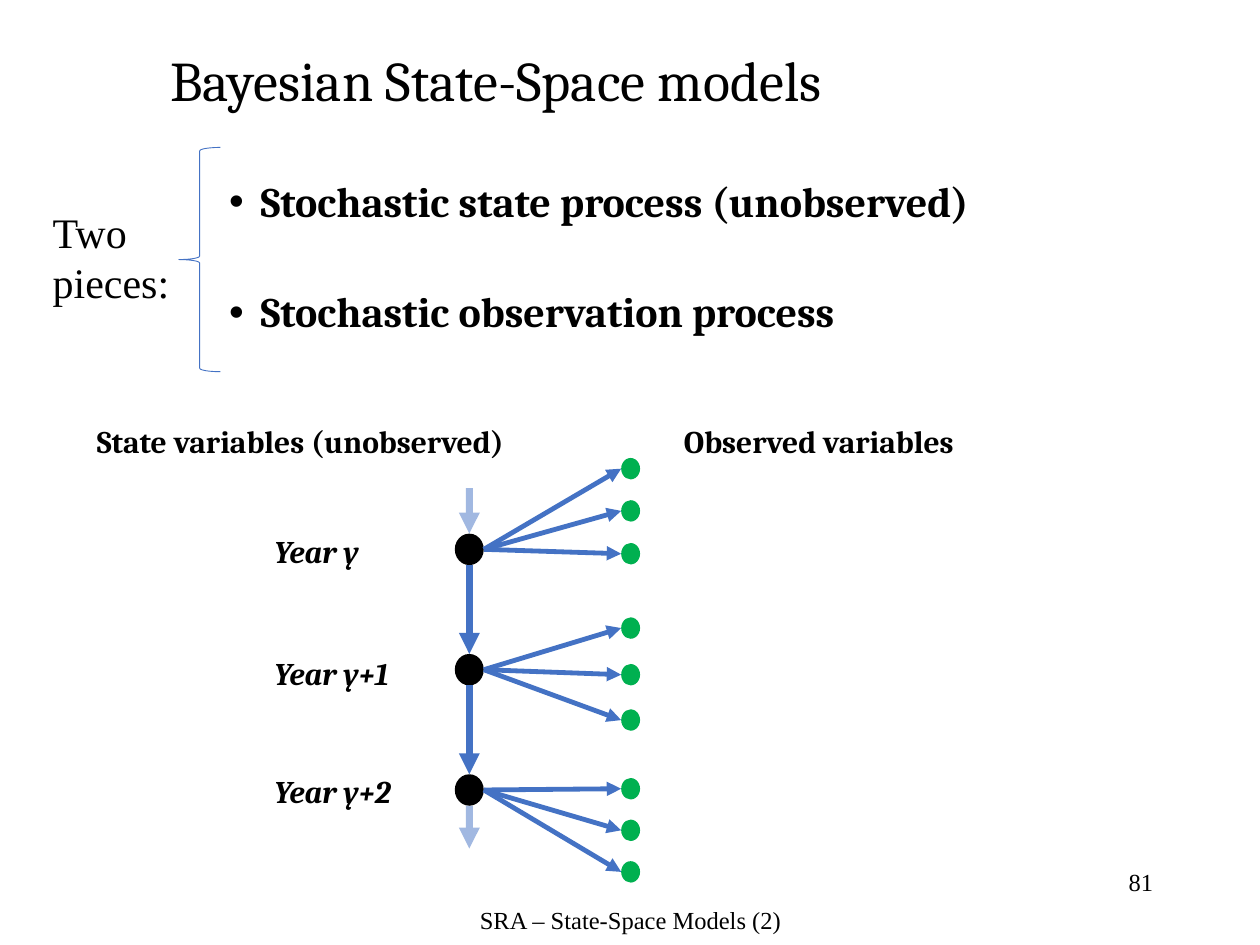
"""Build the slide on Bayesian state-space models."""
from dataclasses import dataclass
from typing import Optional

from lxml import etree
from pptx import Presentation
from pptx import util as u
from pptx.dml import color
from pptx.enum import shapes, text
from pptx.oxml import ns

COLS, ROWS = 100, 75
WIDE, HIGH = u.Inches(10), u.Inches(7.5)
HUES = {"ink": "000000", "line": "4472C4", "seen": "00B050"}
SERIF, ROMAN = "Cambria", "Times New Roman"
LEFT, MID, RIGHT = text.PP_ALIGN.LEFT, text.PP_ALIGN.CENTER, text.PP_ALIGN.RIGHT


@dataclass
class Box:
    """A place on the grid, in columns and rows."""
    col: float
    row: float
    wide: float
    high: float

    def place(self) -> tuple:
        """Return left, top, width and height as lengths."""
        return (*point(self.col, self.row), *point(self.wide, self.high))


@dataclass
class Label:
    """A text with its place and look."""
    words: str
    box: Box
    size: float = 18
    font: str = SERIF
    bold: bool = True
    slant: bool = False
    wrap: bool = False
    align: text.PP_ALIGN = LEFT


@dataclass
class Year:
    """A hidden state and the rows of what is observed from it."""
    name: str
    row: float
    label: float
    seen: tuple


YEARS = [
    Year("Year y", 43.6, 41.7, (37.2, 40.55, 43.95)),
    Year("Year y+1", 53.15, 51.4, (49.85, 53.55, 57.15)),
    Year("Year y+2", 62.7, 60.8, (62.6, 65.9, 69.2)),
]
STATE, SEEN = 37.25, 50.05
NODE, DOT = (2.3, 2.5), (1.5, 1.7)

LABELS = [
    Label("State variables (unobserved)", Box(6.7, 33, 35.4, 4)),
    Label("Observed variables", Box(53.3, 33, 24.2, 4)),
    *[Label(y.name, Box(20.8, y.label, 11.8 if "+" in y.name else 8.9, 4), slant=True)
      for y in YEARS],
    Label("Two pieces:", Box(3.2, 15.9, 12.5, 9.1), 24, ROMAN, False, wrap=True),
    Label("81", Box(71.7, 68.3, 20.8, 5), 14, ROMAN, False, wrap=True, align=RIGHT),
    Label("SRA – State-Space Models (2)", Box(34.2, 71.3, 31.7, 3.7), 14, ROMAN, False,
          wrap=True, align=MID),
]
PIECES = ["Stochastic state process (unobserved)", "Stochastic observation process"]


def point(col: float, row: float) -> tuple:
    """Turn columns and rows into lengths."""
    return round(WIDE * col / COLS), round(HIGH * row / ROWS)


def hue(name: str) -> color.RGBColor:
    """Look up a colour."""
    return color.RGBColor.from_string(HUES[name])


def add_run(para, words: str, size: float, font: str, bold: bool, slant: bool = False) -> None:
    """Add one run of dark text."""
    run = para.add_run()
    run.text = words
    face = run.font
    face.size, face.name, face.bold, face.italic = u.Pt(size), font, bold, slant
    face.color.rgb = hue("ink")


def add_label(slide, label: Label) -> None:
    """Draw one text box."""
    frame = slide.shapes.add_textbox(*label.box.place()).text_frame
    frame.word_wrap = label.wrap
    para = frame.paragraphs[0]
    para.alignment = label.align
    add_run(para, label.words, label.size, label.font, label.bold, label.slant)


def add_title(slide, words: str) -> None:
    """Move and fill the title placeholder."""
    title = slide.shapes.title
    title.left, title.top, title.width, title.height = Box(12.5, 2.7, 82.7, 7.9).place()
    frame = title.text_frame
    frame.vertical_anchor = text.MSO_ANCHOR.MIDDLE
    para = frame.paragraphs[0]
    para.alignment, para.line_spacing = LEFT, 0.9
    add_run(para, words, 32, SERIF, False)


def add_list(slide, items: list, box: Box) -> None:
    """Draw the bulleted list."""
    frame = slide.shapes.add_textbox(*box.place()).text_frame
    frame.word_wrap = True
    for i, item in enumerate(items):
        para = frame.add_paragraph() if i else frame.paragraphs[0]
        para.line_spacing = 0.9
        if i:
            para.space_before = u.Pt(37)
        props = para._p.get_or_add_pPr()
        props.set("marL", str(u.Inches(0.25)))
        props.set("indent", str(-u.Inches(0.25)))
        etree.SubElement(props, ns.qn("a:buFont"), typeface="Arial")
        etree.SubElement(props, ns.qn("a:buChar"), char="•")
        add_run(para, item, 24, SERIF, True)


def add_oval(slide, col: float, row: float, size: tuple, fill: str) -> None:
    """Draw a filled oval about its centre."""
    wide, high = size
    box = Box(col - wide / 2, row - high / 2, wide, high)
    oval = slide.shapes.add_shape(shapes.MSO_SHAPE.OVAL, *box.place())
    oval.shadow.inherit = False
    oval.fill.solid()
    oval.fill.fore_color.rgb = hue(fill)
    oval.line.fill.background()


def add_arrow(slide, start: tuple, end: tuple, width: float,
              alpha: Optional[int] = None) -> None:
    """Draw an arrow, see-through if alpha is given in percent."""
    arrow = slide.shapes.add_connector(
        shapes.MSO_CONNECTOR.STRAIGHT, *point(*start), *point(*end))
    arrow.line.width = u.Pt(width)
    arrow.line.color.rgb = hue("line")
    props = arrow._element.spPr
    if alpha:
        tint = props.find(".//" + ns.qn("a:srgbClr"))
        etree.SubElement(tint, ns.qn("a:alpha"), val=str(alpha * 1000))
    etree.SubElement(arrow.line._get_or_add_ln(), ns.qn("a:tailEnd"), type="triangle")
    etree.SubElement(props, ns.qn("a:effectLst"))


def add_brace(slide, box: Box) -> None:
    """Draw the brace beside the list."""
    brace = slide.shapes.add_shape(shapes.MSO_SHAPE.LEFT_BRACE, *box.place())
    brace.shadow.inherit = False
    brace.fill.background()
    brace.line.color.rgb = hue("line")
    brace.line.width = u.Pt(0.5)


def add_chain(slide) -> None:
    """Draw the states, what is observed, and the arrows between them."""
    half = NODE[1] / 2
    for year in YEARS:
        add_oval(slide, STATE, year.row, NODE, "ink")
        for row in year.seen:
            add_oval(slide, SEEN, row, DOT, "seen")
            add_arrow(slide, (STATE + NODE[0] / 2, year.row), (SEEN - DOT[0] / 2, row), 2.75)
    for one, two in zip(YEARS, YEARS[1:]):
        add_arrow(slide, (STATE, one.row + half), (STATE, two.row - half), 4)
    first, last = YEARS[0].row - half, YEARS[-1].row + half
    for top, end in ((first - 3.6, first), (last, last + 3.4)):
        add_arrow(slide, (STATE, top), (STATE, end), 4, 50)


def main() -> None:
    """Build and save the slide."""
    deck = Presentation()
    deck.slide_width, deck.slide_height = WIDE, HIGH
    slide = deck.slides.add_slide(deck.slide_layouts[5])
    add_title(slide, "Bayesian State-Space models")
    add_list(slide, PIECES, Box(17.2, 13.9, 78, 19.5))
    add_chain(slide)
    for label in LABELS:
        add_label(slide, label)
    add_brace(slide, Box(14.2, 11.7, 3.3, 17.8))
    deck.save("out.pptx")


if __name__ == "__main__":
    main()
